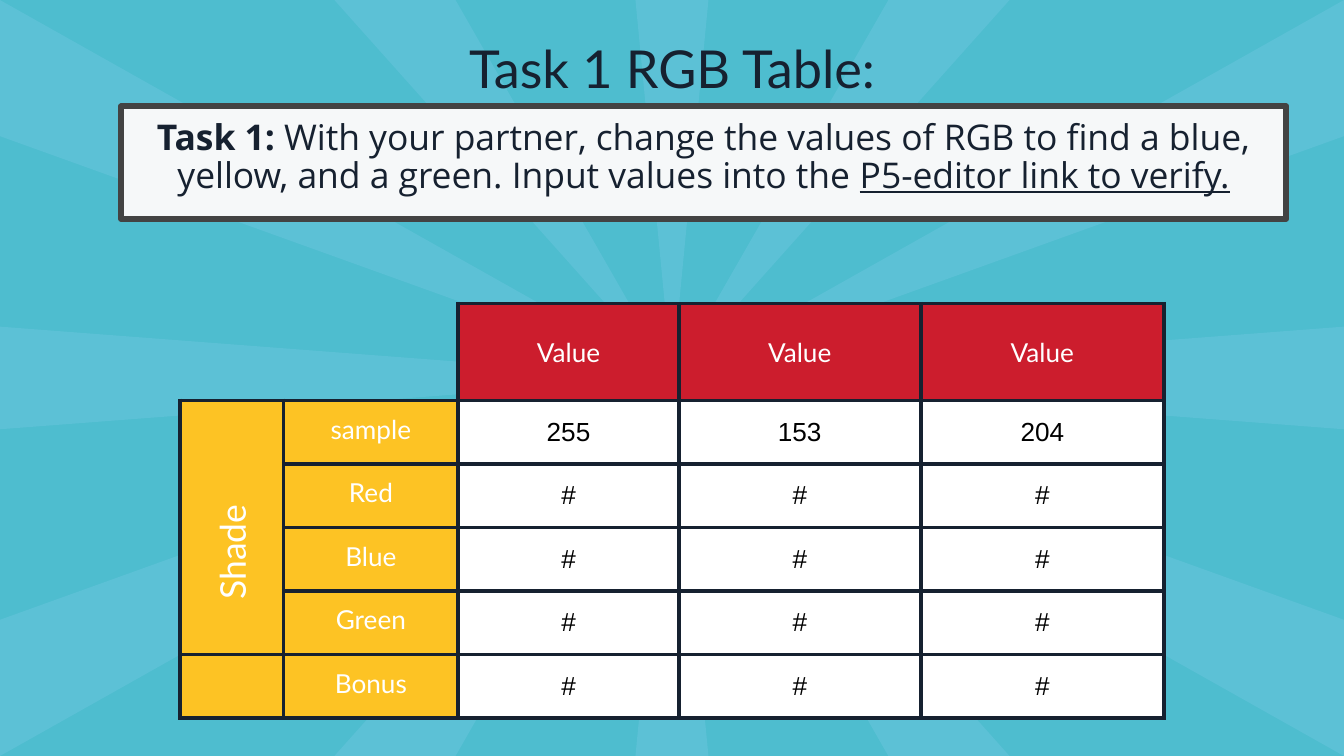
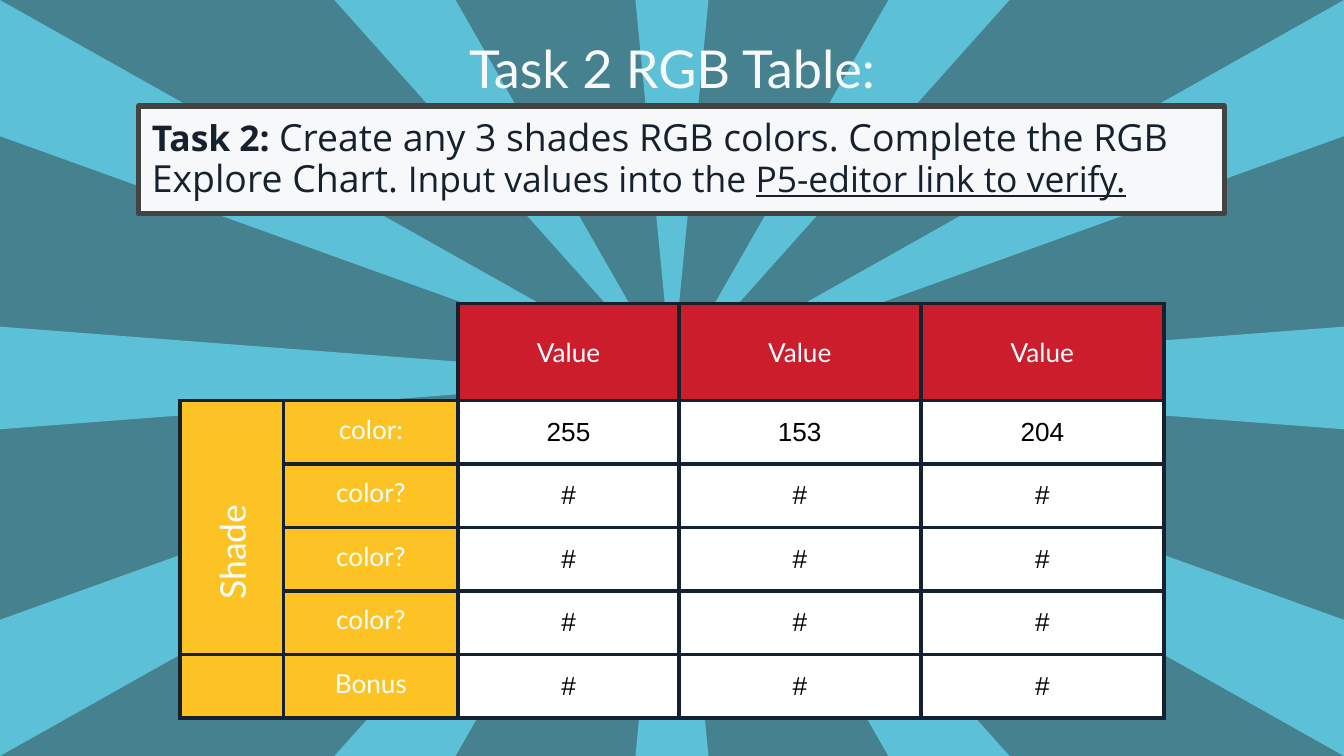
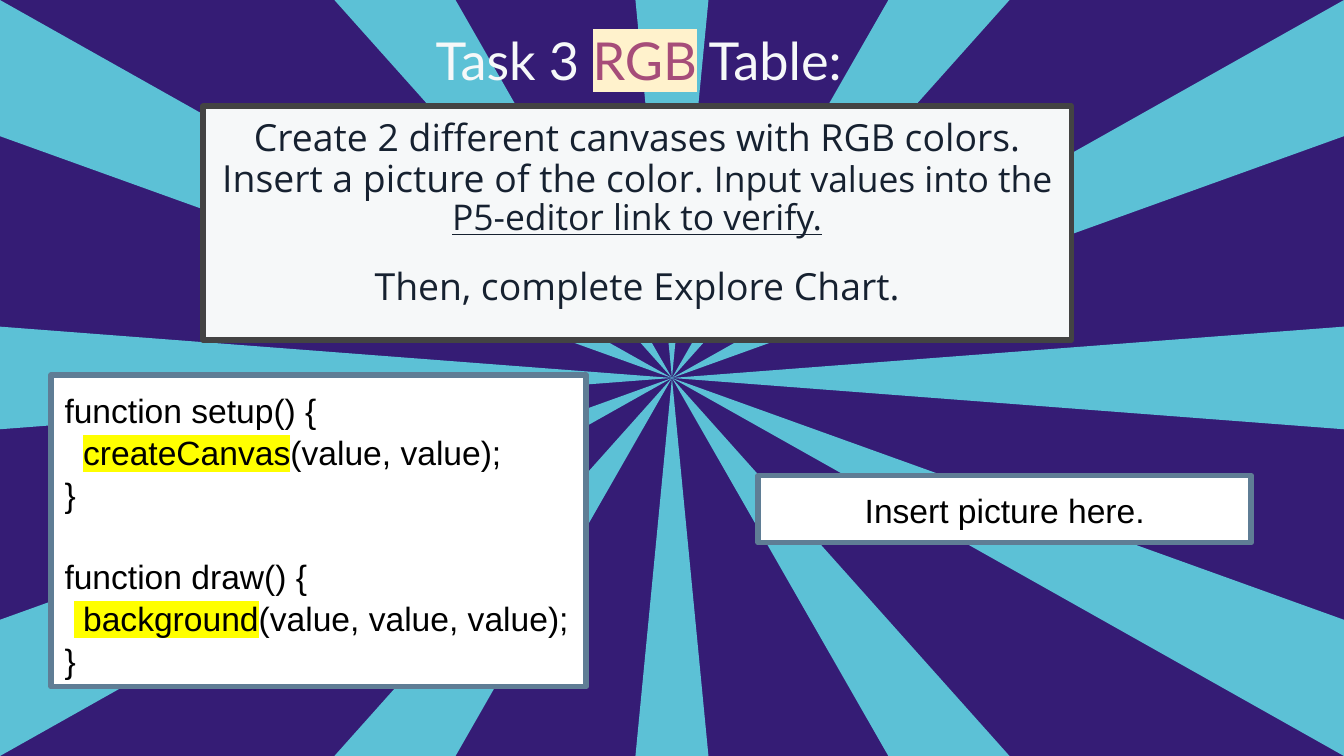
import lxml.etree
import pptx
import pptx.dml.color
import pptx.enum.shapes
import pptx.enum.text
import pptx.oxml.ns
import pptx.util

Cm = pptx.util.Cm
Pt = pptx.util.Pt
RGB = pptx.dml.color.RGBColor
Align = pptx.enum.text.PP_ALIGN
Anchor = pptx.enum.text.MSO_ANCHOR
qn = pptx.oxml.ns.qn

TEAL = RGB(0x4E, 0xBD, 0xCF)
SLATE = RGB(0x45, 0x81, 0x8E)
PURPLE = RGB(0x35, 0x1C, 0x75)
SKY = RGB(0x5C, 0xC1, 0xD6)
INK = RGB(0x16, 0x21, 0x30)
PALE = RGB(0xF6, 0xF8, 0xF9)
GRAY = RGB(0x43, 0x43, 0x43)
STEEL = RGB(0x5F, 0x7D, 0x95)
RED = RGB(0xCC, 0x1D, 0x2D)
GOLD = RGB(0xFD, 0xC3, 0x24)
PLUM = RGB(0xA6, 0x4D, 0x79)
CREAM = RGB(0xFF, 0xF2, 0xCC)
YELLOW = RGB(0xFF, 0xFF, 0x00)
WHITE = RGB(0xFF, 0xFF, 0xFF)
BLACK = RGB(0, 0, 0)

WIDTH, HEIGHT = 25.4, 14.29
INSET = Cm(0.25)
COLS = (1.96, 3.3, 4.17, 4.57, 4.6)
ROWS = (1.83,) + (1.2,) * 5
LINK = ("P5-editor link to verify.", {"under": True})


class Deck:
    def __init__(self):
        self.show = pptx.Presentation()
        self.show.slide_width = Cm(WIDTH)
        self.show.slide_height = Cm(HEIGHT)
        self.layout = self.show.slide_layouts[5]
        self.slide = None

    def start(self, color):
        self.slide = self.show.slides.add_slide(self.layout)
        fill = self.slide.background.fill
        fill.solid()
        fill.fore_color.rgb = color

    def ray(self, first, last):
        mid = (WIDTH / 2, HEIGHT / 2)
        ends = [(Cm(mid[0] + x), Cm(mid[1] + y)) for x, y in (first, last)]
        form = self.slide.shapes.build_freeform(Cm(mid[0]), Cm(mid[1]))
        form.add_line_segments(ends, close=True)
        shape = form.convert_to_shape()
        shape.shadow.inherit = False
        shape.fill.solid()
        shape.fill.fore_color.rgb = SKY
        shape.line.fill.background()
        self.layout.shapes.element.append(shape.element)

    def burst(self):
        half_x, half_y = WIDTH / 2, HEIGHT / 2
        for side in (-1, 1):
            for a, b in ((-6.38, -4.09), (-0.69, 0.69), (4.09, 6.38)):
                self.ray((a, side * half_y), (b, side * half_y))
            for a, b in ((-half_y, -4.57), (-0.97, 0.97), (4.57, half_y)):
                self.ray((side * half_x, a), (side * half_x, b))

    def style(self, para, font, size, color, align=Align.CENTER):
        para.alignment = align
        para.font.name = font
        para.font.size = Pt(size)
        para.font.color.rgb = color

    def runs(self, para, parts):
        for part in parts:
            text, look = (part, {}) if isinstance(part, str) else part
            run = para.add_run()
            run.text = text
            if "bold" in look:
                run.font.bold = True
            if "under" in look:
                run.font.underline = True
            if "size" in look:
                run.font.size = Pt(look["size"])
            if "color" in look:
                run.font.color.rgb = look["color"]
            if "mark" in look:
                mark = lxml.etree.SubElement(
                    run._r.get_or_add_rPr(), qn("a:highlight"))
                lxml.etree.SubElement(
                    mark, qn("a:srgbClr"), val=str(look["mark"]))

    def frame(self, shape, wrap=True):
        frame = shape.text_frame
        frame.word_wrap = wrap
        frame.auto_size = pptx.enum.text.MSO_AUTO_SIZE.NONE
        frame.vertical_anchor = Anchor.TOP
        frame.margin_left = frame.margin_right = INSET
        frame.margin_top = frame.margin_bottom = INSET
        return frame

    def title(self, parts, color, box=(3.5, 0.43, 18.4, 2.77)):
        shape = self.slide.shapes.title
        shape.left, shape.top, shape.width, shape.height = map(Cm, box)
        para = self.frame(shape).paragraphs[0]
        self.style(para, "Lato", 28, color)
        self.runs(para, parts)

    def panel(self, box, fill, line):
        shape = self.slide.shapes.add_shape(
            pptx.enum.shapes.MSO_SHAPE.RECTANGLE, *map(Cm, box))
        shape.shadow.inherit = False
        shape.fill.solid()
        shape.fill.fore_color.rgb = fill
        shape.line.color.rgb = line
        shape.line.width = Pt(3)
        return self.frame(shape)

    def note(self, box, paras, size, align=Align.CENTER):
        frame = self.panel(box, PALE, GRAY)
        for i, parts in enumerate(paras):
            para = frame.add_paragraph() if i else frame.paragraphs[0]
            self.style(para, "Open Sans", size, INK, align)
            para.line_spacing = 0.9
            if i:
                para.space_before = Pt(16)
            self.runs(para, parts)

    def code(self, box, lines, align=Align.LEFT):
        frame = self.panel(box, WHITE, STEEL)
        for i, (indent, gap, parts) in enumerate(lines):
            para = frame.add_paragraph() if i else frame.paragraphs[0]
            self.style(para, "Arial", 18, BLACK, align)
            para.line_spacing = 1.04
            if gap:
                para.space_before = Pt(gap)
            if indent:
                para._p.get_or_add_pPr().set("marL", str(Pt(indent)))
            self.runs(para, parts)

    def edges(self, cell, sides):
        props = cell._tc.get_or_add_tcPr()
        for i, side in enumerate("LRTB"):
            line = lxml.etree.Element(qn("a:ln" + side), w=str(Pt(2.25)))
            if side in sides:
                fill = lxml.etree.SubElement(line, qn("a:solidFill"))
                lxml.etree.SubElement(fill, qn("a:srgbClr"), val=str(INK))
            else:
                lxml.etree.SubElement(line, qn("a:noFill"))
            props.insert(i, line)

    def cell(self, cell, text, fill, font, color, anchor):
        if fill is None:
            cell.fill.background()
        else:
            cell.fill.solid()
            cell.fill.fore_color.rgb = fill
        if text:
            cell.text = text
            cell.vertical_anchor = anchor
            cell.margin_left = cell.margin_right = INSET
            cell.margin_top = cell.margin_bottom = INSET
            self.style(cell.text_frame.paragraphs[0], font, 14, color)

    def table(self, names):
        table = self.slide.shapes.add_table(
            len(ROWS), len(COLS), Cm(3.4), Cm(5.74),
            Cm(sum(COLS)), Cm(sum(ROWS))).table
        table.first_row = table.horz_banding = False
        for col, width in zip(table.columns, COLS):
            col.width = Cm(width)
        for row, height in zip(table.rows, ROWS):
            row.height = Cm(height)
        data = [("", "", "Value", "Value", "Value"),
                ("", names[0], "255", "153", "204")]
        data += [("", name, "#", "#", "#") for name in names[1:]]
        for r, texts in enumerate(data):
            for c, text in enumerate(texts):
                if c < 2:
                    look = (GOLD if r else None, "Lato", WHITE, Anchor.TOP)
                elif r == 0:
                    look = (RED, "Lato", WHITE, Anchor.MIDDLE)
                else:
                    look = (WHITE, "Arial", BLACK, Anchor.MIDDLE)
                cell = table.cell(r, c)
                self.cell(cell, text, *look)
                self.edges(cell, "RB" if r == 0 and c < 2 else "LRTB")
        table.cell(0, 0).merge(table.cell(0, 1))
        table.cell(1, 0).merge(table.cell(4, 0))

    def shade(self):
        shape = self.slide.shapes.add_textbox(
            Cm(2.69), Cm(9.22), Cm(3.4), Cm(1.32))
        shape.rotation = 270
        para = self.frame(shape).paragraphs[0]
        self.style(para, "Lato", 19, WHITE, Align.LEFT)
        self.runs(para, ["Shade"])


deck = Deck()

deck.start(TEAL)
deck.burst()
deck.title(["Task 1 RGB Table:"], INK)
deck.table(("sample", "Red", "Blue", "Green", "Bonus"))
deck.shade()
deck.note((2.29, 2.01, 22.02, 2.13), [[
    ("Task 1: ", {"bold": True}),
    "With your partner, change the values of RGB to find a blue, yellow, "
    "and a green. Input values into the ", LINK]], 19)

deck.start(SLATE)
deck.title(["Task 2 RGB Table:"], PALE)
deck.table(("color:", "color?", "color?", "color?", "Bonus"))
deck.shade()
deck.note((2.62, 2.01, 20.52, 2.03), [[
    ("Task 2: ", {"bold": True}),
    ("Create any 3 shades RGB colors. Complete the RGB Explore Chart. ",
     {"size": 20}),
    "Input values into the ", LINK]], 19, Align.LEFT)

deck.start(PURPLE)
deck.note((3.84, 2.01, 16.41, 4.42), [
    [("Create 2 different canvases with RGB colors. "
      "Insert a picture of the color. ", {"size": 20}),
     "Input values into the ", LINK],
    [("Then, complete Explore Chart.", {"size": 20})]], 19)
deck.code((0.97, 7.09, 10.11, 5.89), [
    (0, 0, ["function setup() {"]),
    (10, 0, [("createCanvas", {"mark": YELLOW}), "(value, value);"]),
    (0, 0, ["}"]),
    (0, 21.5, ["function draw() {"]),
    (5, 0, [(" background", {"mark": YELLOW}), "(value, value, value);"]),
    (0, 0, ["}"])])
deck.title(["Task 3 ", ("RGB", {"color": PLUM, "mark": CREAM}), " Table:"],
           PALE, (5.97, 0.28, 12.2, 1.7))
deck.code((14.33, 8.99, 9.32, 1.27),
          [(0, 0, ["Insert picture here."])], Align.CENTER)

deck.show.save("out.pptx")
